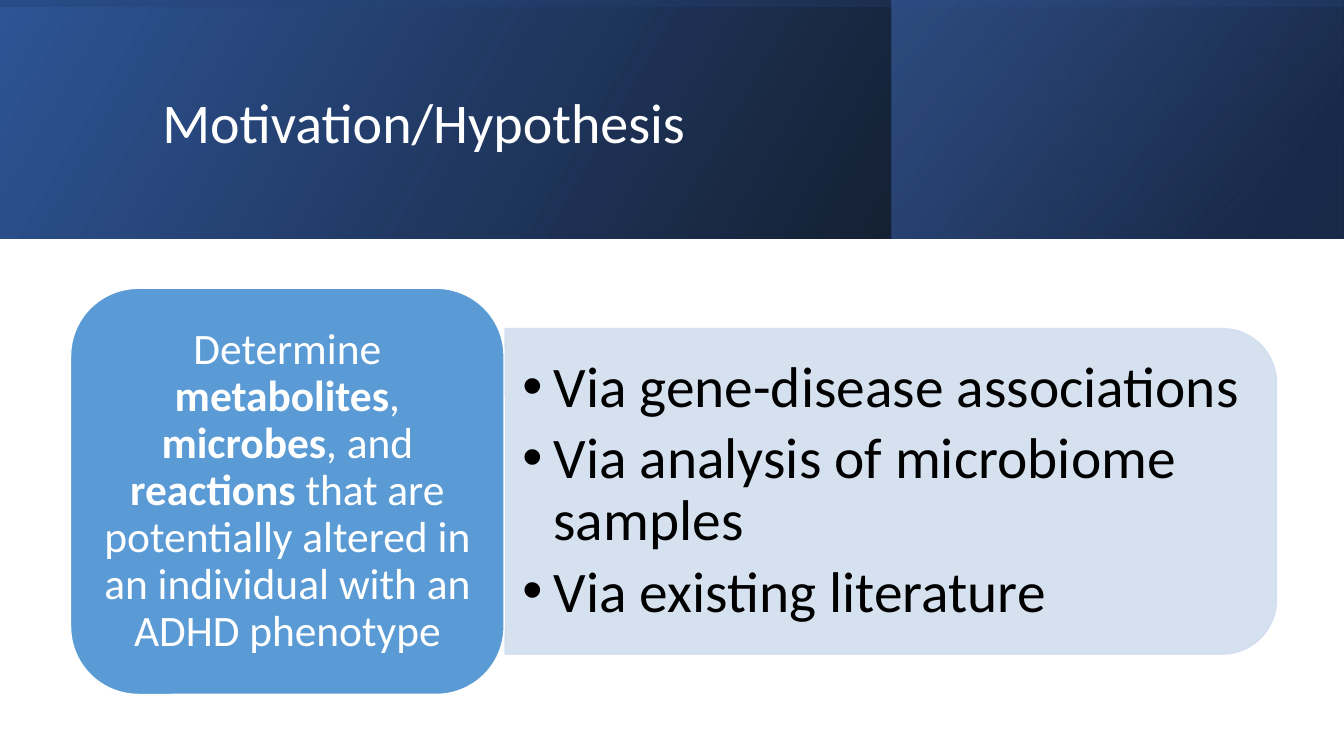
from dataclasses import dataclass

from lxml import etree
from pptx import Presentation
from pptx.dml.color import RGBColor
from pptx.enum.shapes import MSO_SHAPE as Preset
from pptx.enum.text import MSO_ANCHOR as Anchor, MSO_AUTO_SIZE as AutoSize, PP_ALIGN as Align
from pptx.oxml.ns import qn
from pptx.util import Inches, Pt


@dataclass(frozen=True)
class Theme:
    font: str = "Calibri"
    white: str = "FFFFFF"
    black: str = "000000"
    navy: str = "203864"
    deep_blue: str = "2F5597"
    mid_blue: str = "4472C4"
    goal_blue: str = "5B9BD5"
    pale_blue: str = "D2DEEF"
    title_size: int = 40
    method_size: int = 41
    goal_size: int = 31


THEME = Theme()
SLIDE_WIDTH, SLIDE_HEIGHT, BANNER_HEIGHT = 13.33, 7.5, 2.37
GOAL = [
    ("Determine ", False), ("metabolites", True), (", ", False), ("microbes", True),
    (", and ", False), ("reactions", True),
    (" that are potentially altered in an individual with an ADHD phenotype", False),
]
METHODS = [
    "Via gene-disease associations",
    "Via analysis of microbiome samples",
    "Via existing literature",
]


def add_color(parent, color, opacity):
    element = etree.SubElement(parent, qn("a:srgbClr"), val=color)
    etree.SubElement(element, qn("a:alpha"), val=str(opacity * 1000))


def add_preset(slide, preset, box, fill=None, line=None, opacity=100):
    shape = slide.shapes.add_shape(preset, *map(Inches, box))
    shape.shadow.inherit = False
    if fill:
        shape.fill.solid()
        shape.fill.fore_color.rgb = RGBColor.from_string(fill)
    if line:
        shape.line.color.rgb = RGBColor.from_string(line)
        shape.line.width = Pt(1)
    else:
        shape.line.fill.background()
    if opacity < 100:
        for color in shape._element.spPr.iter(qn("a:srgbClr")):
            etree.SubElement(color, qn("a:alpha"), val=str(opacity * 1000))
    return shape


def add_gradient_band(slide, box, stops, angle, rotation=0):
    """Add a mirrored rectangle; stops are (position, color, opacity) in percent."""
    band = add_preset(slide, Preset.RECTANGLE, box)
    band.rotation = rotation
    properties = band._element.spPr
    properties.get_or_add_xfrm().set("flipH", "1")
    gradient = etree.Element(qn("a:gradFill"), rotWithShape="1")
    stop_list = etree.SubElement(gradient, qn("a:gsLst"))
    for position, color, opacity in stops:
        stop = etree.SubElement(stop_list, qn("a:gs"), pos=str(position * 1000))
        add_color(stop, color, opacity)
    etree.SubElement(gradient, qn("a:lin"), ang=str(angle * 60000), scaled="0")
    properties.find(qn("a:prstGeom")).addnext(gradient)


def write_text(shape, paragraphs, *, size, color, align=Align.LEFT, margins=(0.1, 0.05),
               space_after=0, bullet_indent=None):
    """Fill a shape with paragraphs, each a list of (text, bold) runs."""
    frame = shape.text_frame
    frame.word_wrap = True
    frame.auto_size = AutoSize.NONE
    frame.vertical_anchor = Anchor.MIDDLE
    frame.margin_left = frame.margin_right = Inches(margins[0])
    frame.margin_top = frame.margin_bottom = Inches(margins[1])
    for index, runs in enumerate(paragraphs):
        paragraph = frame.add_paragraph() if index else frame.paragraphs[0]
        paragraph.alignment = align
        paragraph.line_spacing = 0.9
        paragraph.space_before = Pt(0)
        paragraph.space_after = Pt(space_after)
        if bullet_indent:
            add_bullet(paragraph, bullet_indent)
        for text, bold in runs:
            run = paragraph.add_run()
            run.text = text
            run.font.name = THEME.font
            run.font.size = Pt(size)
            run.font.bold = bold
            run.font.color.rgb = RGBColor.from_string(color)


def add_bullet(paragraph, indent):
    properties = paragraph._p.get_or_add_pPr()
    properties.set("marL", str(Inches(indent)))
    properties.set("indent", str(-Inches(indent)))
    etree.SubElement(properties, qn("a:buFont"), typeface="Arial")
    etree.SubElement(properties, qn("a:buChar"), char="•")


def add_banner(slide):
    add_gradient_band(slide, (0, 0, SLIDE_WIDTH, BANNER_HEIGHT),
                      [(0, THEME.black, 96), (100, THEME.deep_blue, 100)], 330)
    add_gradient_band(slide, (8.84, 0, 4.48, BANNER_HEIGHT),
                      [(19, THEME.navy, 68), (100, THEME.mid_blue, 48)], 320)
    offset = (SLIDE_WIDTH - BANNER_HEIGHT) / 2
    add_gradient_band(slide, (offset, -offset, BANNER_HEIGHT, SLIDE_WIDTH),
                      [(23, THEME.deep_blue, 16), (99, THEME.black, 45)], 350, rotation=270)


def place_title(slide, text):
    title = slide.shapes.title
    title.left, title.top, title.width, title.height = map(Inches, (1.51, 0.38, 10.63, 1.72))
    write_text(title, [[(text, False)]], size=THEME.title_size, color=THEME.white)
    slide.shapes._spTree.append(title._element)  # in front of the banner


def add_methods(slide):
    panel = add_preset(slide, Preset.ROUND_2_SAME_RECTANGLE, (7.22, 1.05, 3.23, 7.65),
                       THEME.pale_blue, THEME.pale_blue, opacity=90)
    panel.rotation = 90
    text_box = slide.shapes.add_textbox(*map(Inches, (5.01, 3.42, 7.49, 2.91)))
    write_text(text_box, [[(method, False)] for method in METHODS], size=THEME.method_size,
               color=THEME.black, margins=(0.17, 0.09), space_after=6.5, bullet_indent=0.31)


def add_goal(slide):
    goal = add_preset(slide, Preset.ROUNDED_RECTANGLE, (0.7, 2.86, 4.3, 4.03),
                      THEME.goal_blue, THEME.white)
    write_text(goal, [GOAL], size=THEME.goal_size, color=THEME.white,
               align=Align.CENTER, margins=(0.13, 0.06))


def main():
    presentation = Presentation()
    presentation.slide_width = Inches(SLIDE_WIDTH)
    presentation.slide_height = Inches(SLIDE_HEIGHT)
    slide = presentation.slides.add_slide(presentation.slide_layouts[5])
    add_banner(slide)
    place_title(slide, "Motivation/Hypothesis")
    add_methods(slide)
    add_goal(slide)
    presentation.save("out.pptx")


if __name__ == "__main__":
    main()
